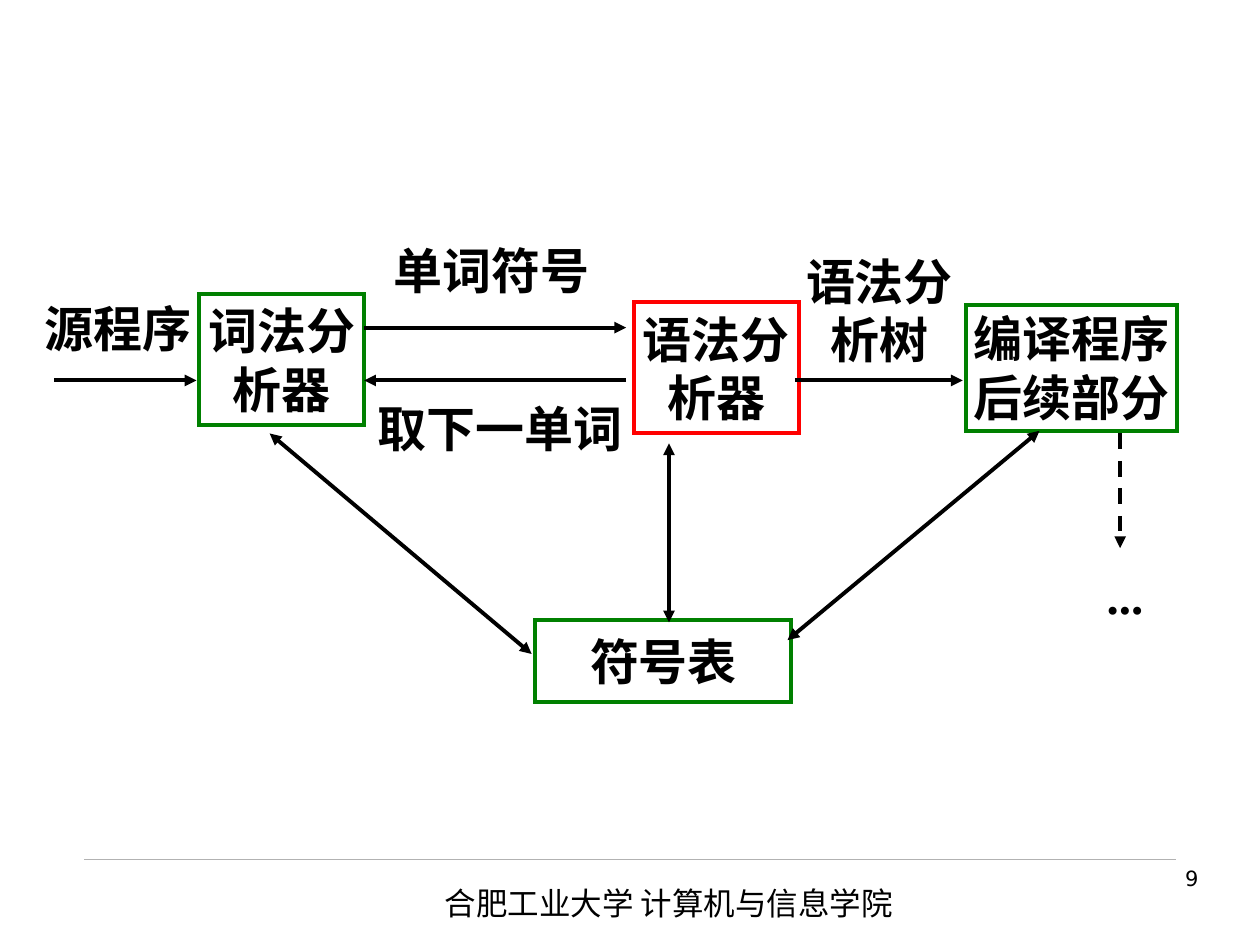
from lxml import etree
from pptx import Presentation
from pptx.dml.color import RGBColor
from pptx.enum import dml, shapes, text
from pptx.oxml import ns
from pptx.util import Pt

COLORS = {"ink": "000000", "stage": "008000", "parser": "FF0000", "rule": "B2B2B2"}
SERIF, SANS, CJK = "Times New Roman", "DejaVu Sans", "Noto Sans CJK SC"
STROKE = 2.24


def rgb(name):
    return RGBColor.from_string(COLORS[name])


def write(shape, content, size=28, font=SERIF, bold=True, align="CENTER",
          anchor="MIDDLE", wrap=False, before=0, margins=(7.2, 3.6)):
    frame = shape.text_frame
    frame.word_wrap = wrap
    frame.vertical_anchor = text.MSO_ANCHOR[anchor]
    frame.margin_left = frame.margin_right = Pt(margins[0])
    frame.margin_top = frame.margin_bottom = Pt(margins[1])
    for i, line in enumerate(content.split("\n")):
        paragraph = frame.add_paragraph() if i else frame.paragraphs[0]
        paragraph.alignment = text.PP_ALIGN[align]
        paragraph.space_before = Pt(before)
        run = paragraph.add_run()
        run.text = line
        run.font.name, run.font.size, run.font.bold = font, Pt(size), bold
        run.font.color.rgb = rgb("ink")


def label(slide, content, box, **style):
    write(slide.shapes.add_textbox(*map(Pt, box)), content, **style)


def stage(slide, content, box, color="stage"):
    block = slide.shapes.add_shape(shapes.MSO_SHAPE.RECTANGLE, *map(Pt, box))
    block.shadow.inherit = False
    block.fill.background()
    block.line.color.rgb = rgb(color)
    block.line.width = Pt(STROKE)
    etree.SubElement(block.line._get_or_add_ln(), ns.qn("a:miter"), lim="800000")
    write(block, content)


def connect(slide, start, end, color="ink", width=STROKE, heads=("tailEnd",), dashed=False):
    link = slide.shapes.add_connector(shapes.MSO_CONNECTOR.STRAIGHT,
                                      *map(Pt, (*start, *end)))
    link.line.color.rgb = rgb(color)
    link.line.width = Pt(width)
    if dashed:
        link.line.dash_style = dml.MSO_LINE.DASH
    outline = link.line._get_or_add_ln()
    for head in heads:
        etree.SubElement(outline, ns.qn(f"a:{head}"), type="triangle")
    etree.SubElement(link._element.spPr, ns.qn("a:effectLst"))


def main():
    deck = Presentation()
    deck.slide_width, deck.slide_height = Pt(720), Pt(540)
    slide = deck.slides.add_slide(deck.slide_layouts[6])

    # Footer
    connect(slide, (48.2, 491), (671.8, 491), color="rule", width=0.26, heads=())
    label(slide, "合肥工业大学 计算机与信息学院", (247, 501.8, 345.6, 28.8), size=18,
          font=CJK, bold=False, align="LEFT", anchor="TOP", wrap=True, before=11.2)
    label(slide, "9", (535.7, 491, 156.2, 37.4), size=12, font=SANS, bold=False,
          align="RIGHT", anchor="TOP", wrap=True)

    # Data passed between the stages, each box wide enough for its longest line
    for content, box in (
        ("源程序", (22.3, 163.4, 90, 48.2)),
        ("单词符号", (220.8, 127.4, 120, 54)),
        ("取下一单词", (210.8, 217.4, 150, 54)),
        ("语法分\n析树", (453.6, 139.7, 97.9, 74.9)),
        ("...", (609.8, 313.2, 66.2, 54)),
    ):
        label(slide, content, box, margins=(0, 3.6))

    # Stages and symbol table
    stage(slide, "词法分\n析器", (113.8, 167.8, 94.3, 74.9))
    stage(slide, "语法分\n析器", (362.2, 172.8, 94.3, 74.9), color="parser")
    stage(slide, "符号表", (306, 354.2, 146.2, 46.8))
    stage(slide, "编译程序\n后续部分", (552.2, 174.2, 120.2, 72))

    # Flow from left to right, with the request back to the lexer
    flow = 217.4
    for start, end in (
        ((31, flow), (112.3, flow)),
        ((208.1, 187.2), (357.8, 187.2)),
        ((357.8, flow), (208.1, flow)),
        ((454.3, flow), (550.1, flow)),
    ):
        connect(slide, start, end)
    connect(slide, (640.1, 247.7), (640.1, 313.2), dashed=True)

    # Access to the symbol table
    for start, end in (
        ((154.1, 247.7), (303.8, 373.7)),
        ((382.3, 253.4), (382.3, 355.7)),
        ((594, 246.2), (450, 365.8)),
    ):
        connect(slide, start, end, heads=("headEnd", "tailEnd"))

    deck.save("out.pptx")


main()
